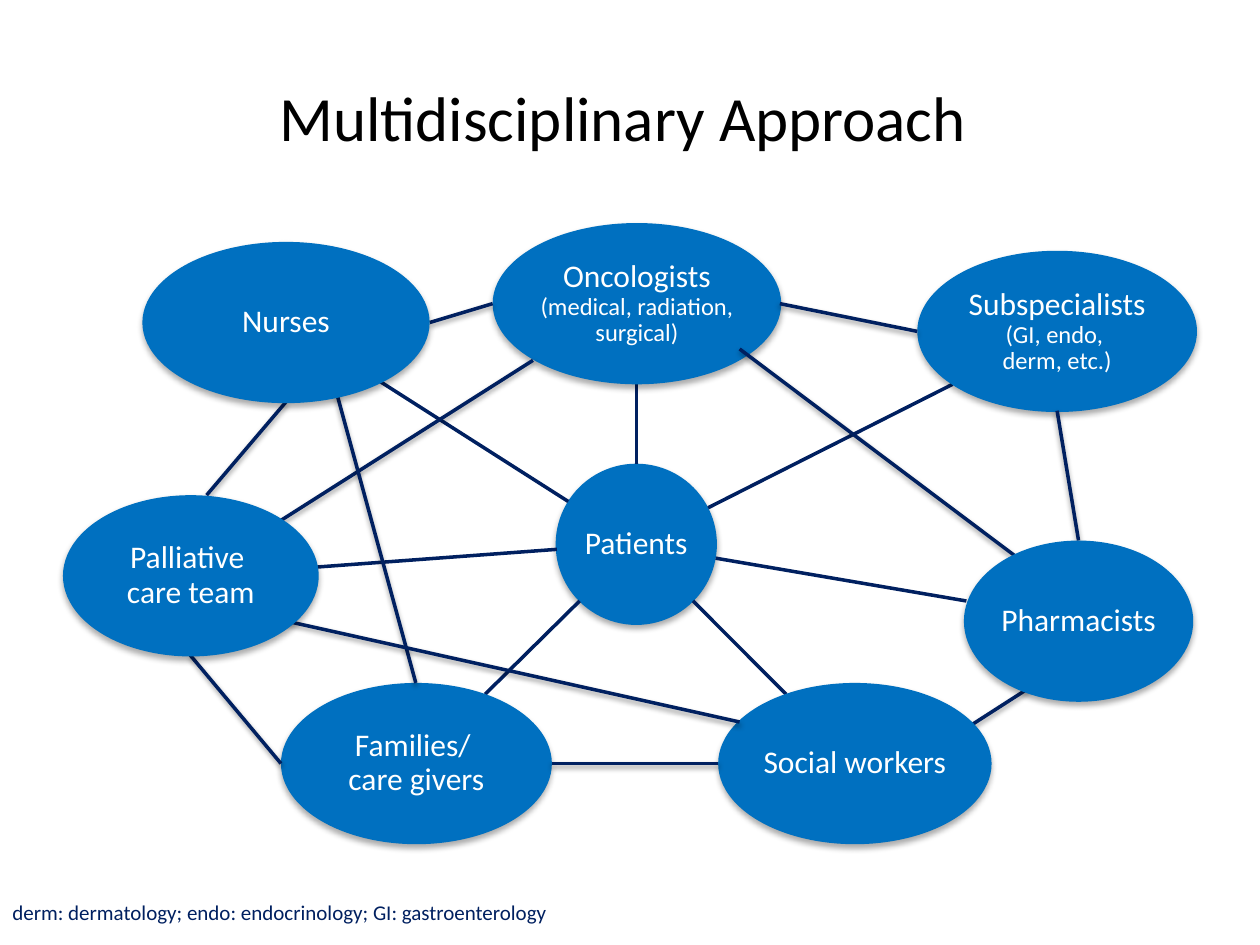
import pptx
import pptx.util
import pptx.dml.color
import pptx.enum.shapes
import pptx.enum.text
import pptx.oxml.ns
from lxml import etree
from pptx.util import Inches

COLORS = {"oval": "0070C0", "link": "002060", "white": "FFFFFF", "black": "000000"}
FONT = "Calibri"
OVAL_HEIGHT = 1.28

# Name, detail, left, top, width
INNER_TEAMS = [
    ("Oncologists ", "(medical, radiation, surgical)", 3.91, 1.77, 2.29),
    ("Subspecialists ", "(GI, endo, \nderm, etc.)", 7.28, 1.99, 2.22),
    ("Social workers", "", 5.7, 5.42, 2.17),
    ("Families/ \vcare givers", "", 2.23, 5.42, 2.15),
]
OUTER_TEAMS = [
    ("Nurses", "", 1.13, 1.92, 2.28),
    ("Palliative \vcare team", "", 0.5, 3.93, 2.03),
    ("Pharmacists", "", 7.65, 4.29, 1.82),
]
PATIENT_SPOKES = [
    (5.05, 3.68, 5.05, 3.04),
    (5.62, 4.03, 7.56, 3.05),
    (5.68, 4.43, 7.67, 4.77),
    (5.5, 4.77, 6.24, 5.51),
    (4.6, 4.77, 3.85, 5.51),
    (4.42, 4.36, 2.52, 4.5),
    (4.51, 3.98, 3.02, 3.03),
]
SOCIAL_PHARMACY_LINK = (7.56, 5.85, 8.23, 5.42)
TEAM_LINKS = [
    (3.41, 2.56, 3.91, 2.41),
    (6.19, 2.41, 7.28, 2.63),
    (8.56, 4.29, 8.39, 3.26),
    (2.27, 3.19, 1.64, 3.93),
    (1.51, 5.2, 2.23, 6.06),
    (5.7, 6.06, 4.38, 6.06),
    (2.23, 4.13, 4.23, 2.86),
    (5.87, 2.77, 8.08, 4.43),
    (2.65, 3.04, 3.3, 5.42),
    (2.23, 4.92, 5.87, 5.73),
]


def rgb(name):
    return pptx.dml.color.RGBColor.from_string(COLORS[name])


def format_run(run, size, color):
    run.font.name = FONT
    run.font.size = pptx.util.Pt(size)
    run.font.color.rgb = rgb(color)


def set_effects(shape, shadow=None):
    """Replace the theme shadow by (opacity %, blur pt, distance pt), or by none."""
    qn = pptx.oxml.ns.qn
    properties = shape._element.spPr
    for inherited in properties.findall(qn("a:effectLst")):
        properties.remove(inherited)
    effects = etree.SubElement(properties, qn("a:effectLst"))
    if shadow:
        opacity, blur, distance = shadow
        outer = etree.SubElement(
            effects, qn("a:outerShdw"), blurRad=str(pptx.util.Pt(blur)),
            dist=str(pptx.util.Pt(distance)), dir="5400000", rotWithShape="0")
        color = etree.SubElement(outer, qn("a:srgbClr"), val=COLORS["black"])
        etree.SubElement(color, qn("a:alpha"), val=str(opacity * 1000))


def add_link(slide, ends, shadow=None):
    link = slide.shapes.add_connector(
        pptx.enum.shapes.MSO_CONNECTOR.STRAIGHT, *(Inches(end) for end in ends))
    link.line.color.rgb = rgb("link")
    link.line.width = pptx.util.Pt(2)
    set_effects(link, shadow)


def add_detail(paragraph, detail):
    """Append smaller text to a team name, with its own line breaks."""
    qn = pptx.oxml.ns.qn
    for number, line in enumerate(detail.split("\n")):
        if number:
            paragraph.add_line_break()
            line_break = paragraph._p.findall(qn("a:br"))[-1]
            etree.SubElement(line_break, qn("a:rPr"), sz="1400")
        run = paragraph.add_run()
        run.text = line
        format_run(run, 14, "white")


def add_team(slide, name, detail, left, top, width):
    oval = slide.shapes.add_shape(
        pptx.enum.shapes.MSO_SHAPE.OVAL,
        Inches(left), Inches(top), Inches(width), Inches(OVAL_HEIGHT))
    oval.fill.solid()
    oval.fill.fore_color.rgb = rgb("oval")
    oval.line.fill.background()
    set_effects(oval, (32, 3.5, 2.2))

    frame = oval.text_frame
    frame.word_wrap = True
    frame.vertical_anchor = pptx.enum.text.MSO_ANCHOR.MIDDLE
    frame.margin_left = frame.margin_right = Inches(0.02)
    frame.margin_top = frame.margin_bottom = Inches(0.02)
    paragraph = frame.paragraphs[0]
    paragraph.text = name
    paragraph.alignment = pptx.enum.text.PP_ALIGN.CENTER
    paragraph.line_spacing = 0.9
    for run in paragraph.runs:
        format_run(run, 18, "white")
    if detail:
        add_detail(paragraph, detail)


def add_text(slide, text, box, size, color):
    frame = slide.shapes.add_textbox(*(Inches(length) for length in box)).text_frame
    frame.text = text
    format_run(frame.paragraphs[0].runs[0], size, color)
    return frame


def main():
    deck = pptx.Presentation()
    deck.slide_width, deck.slide_height = Inches(10), Inches(7.5)
    slide = deck.slides.add_slide(deck.slide_layouts[6])
    link_shadow = (38, 3.1, 1.6)

    add_link(slide, SOCIAL_PHARMACY_LINK, link_shadow)
    title = add_text(slide, "Multidisciplinary Approach ", (0.5, 0.3, 9, 1.25), 36, "black")
    title.word_wrap = True
    title.vertical_anchor = pptx.enum.text.MSO_ANCHOR.MIDDLE
    title.paragraphs[0].alignment = pptx.enum.text.PP_ALIGN.CENTER

    add_team(slide, "Patients", "", 4.41, 3.68, OVAL_HEIGHT)
    for spoke in PATIENT_SPOKES:
        add_link(slide, spoke)
    for team in INNER_TEAMS:
        add_team(slide, *team)
    for link in TEAM_LINKS:
        add_link(slide, link, link_shadow)
    footnote = add_text(
        slide, "derm: dermatology; endo: endocrinology; GI: gastroenterology",
        (0, 7.09, 4.51, 0.3), 12, "link")
    footnote.word_wrap = False
    footnote.auto_size = pptx.enum.text.MSO_AUTO_SIZE.SHAPE_TO_FIT_TEXT
    for team in OUTER_TEAMS:
        add_team(slide, *team)

    deck.save("out.pptx")


if __name__ == "__main__":
    main()
